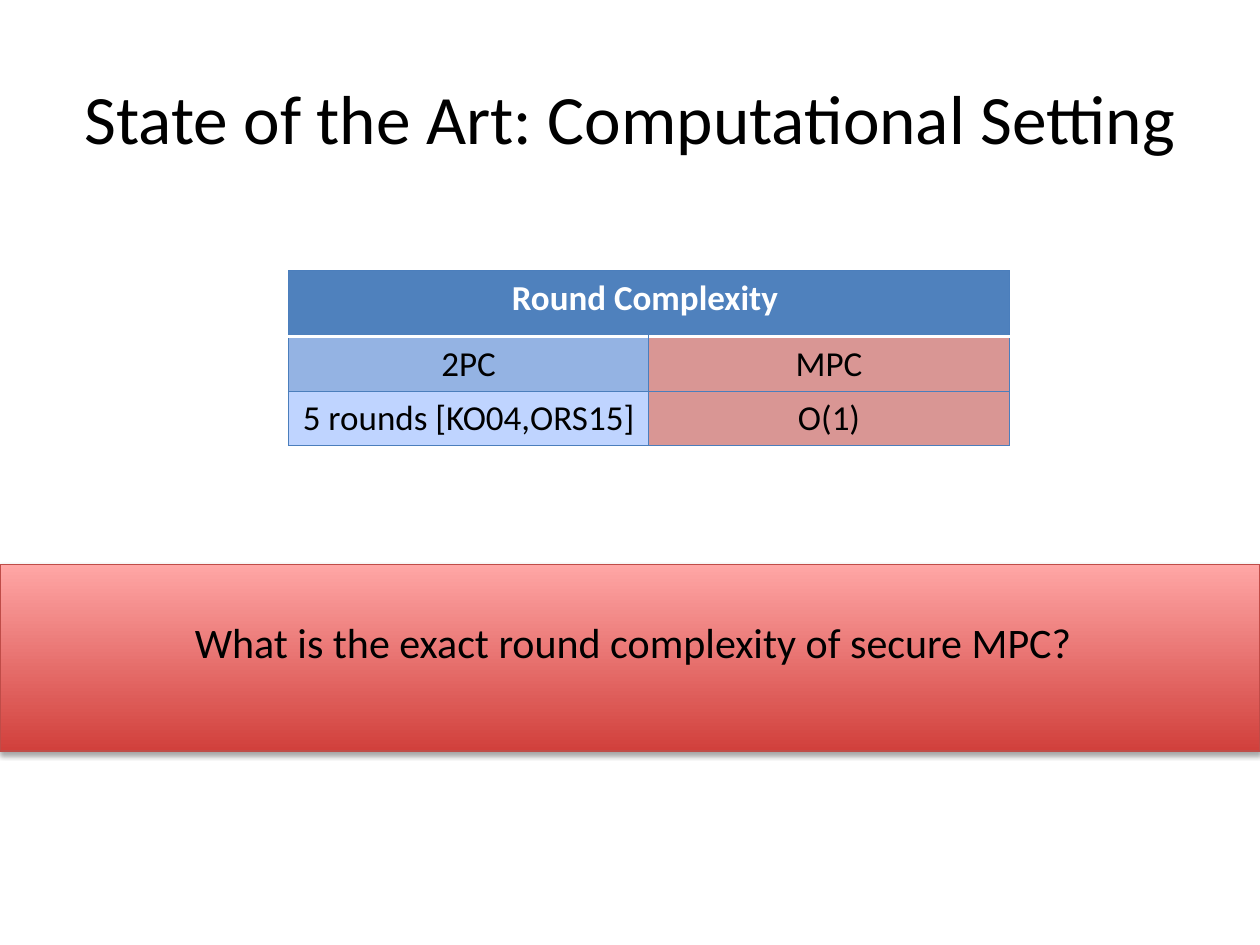
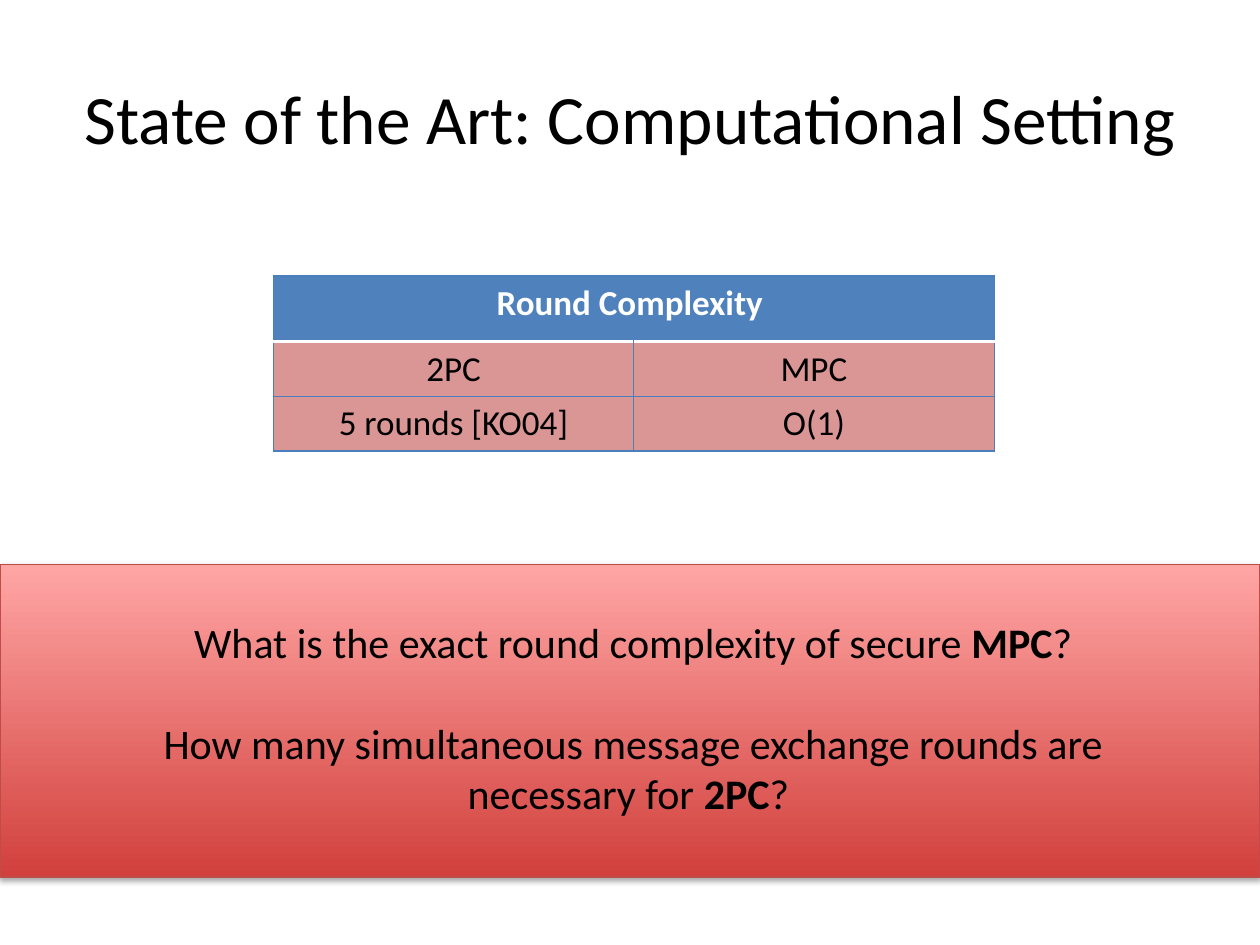
import pptx
import pptx.util
import pptx.dml.color
import pptx.enum.shapes
import pptx.enum.text
import pptx.oxml
import pptx.oxml.ns

HUES = {"ink": "000000", "white": "FFFFFF", "head": "4F81BD", "edge": "4B7EBC",
        "blue": "94B3E3", "pale": "BFD4FF", "rose": "D99694",
        "low": "D1403C", "high": "FFA6A5", "rim": "BF4C48"}
FACE = "Calibri"
WIDE, TALL = 10, 7.5
MID = pptx.enum.text.PP_ALIGN.CENTER
TITLE = "State of the Art: Computational Setting"
HEAD = "Round Complexity "
ROWS = (0.52, 0.435, 0.435)


def hue(name):
    """Return the named colour."""
    return pptx.dml.color.RGBColor.from_string(HUES[name])


def place(box):
    """Turn a box in inches into lengths."""
    return [pptx.util.Inches(n) for n in box]


def style(item, **form):
    """Set attributes from format values."""
    for key, val in form.items():
        setattr(item, key, val)


def write(para, text, size, tint="ink", bold=False):
    """Write centred text, in which stars switch bold on and off."""
    para.alignment = MID
    for i, part in enumerate(text.split("*")):
        run = para.add_run()
        run.text = part
        style(run.font, name=FACE, size=pptx.util.Pt(size), bold=bold or i % 2 == 1)
        run.font.color.rgb = hue(tint)


def node(text):
    """Parse one drawing element."""
    return pptx.oxml.parse_xml(text.replace(" ", f" {pptx.oxml.ns.nsdecls('a')} ", 1))


def title(slide):
    """Fill and place the title."""
    hold = slide.shapes.title
    left, top, width, height = place((0.05 * WIDE, 0.04 * TALL, 0.9 * WIDE, TALL / 6))
    style(hold, left=left, top=top, width=width, height=height)
    hold.text_frame.vertical_anchor = pptx.enum.text.MSO_ANCHOR.MIDDLE
    write(hold.text_frame.paragraphs[0], TITLE, 39.6)


def band(slide, box, asks):
    """Draw the shaded band and its questions."""
    left, top, width, height = box
    rect = slide.shapes.add_shape(pptx.enum.shapes.MSO_SHAPE.RECTANGLE, *place(box))
    rect.fill.gradient()
    rect.fill.gradient_angle = 90
    for stop, name, spot in zip(rect.fill.gradient_stops, ("low", "high"), (0, 1)):
        style(stop, position=spot)
        stop.color.rgb = hue(name)
    rect.line.color.rgb = hue("rim")
    rect.line.width = pptx.util.Pt(0.75)
    rect.shadow.inherit = False
    glow = node('<a:outerShdw blurRad="39370" dist="22860" dir="5400000" rotWithShape="0">'
                f'<a:srgbClr val="{HUES["ink"]}"><a:alpha val="35000"/></a:srgbClr></a:outerShdw>')
    rect._element.spPr.find(pptx.oxml.ns.qn("a:effectLst")).append(glow)
    note = slide.shapes.add_textbox(*place((left + 0.085 * width, top + 0.36,
                                            0.835 * width, height - 0.36)))
    frame = note.text_frame
    frame.word_wrap = True
    for i, ask in enumerate(asks):
        para = frame.add_paragraph() if i else frame.paragraphs[0]
        if i:
            para.space_before = pptx.util.Pt(29)
        write(para, ask, 24)


def edge(cell, top, low):
    """Draw the four borders of a cell from its top and low line formats."""
    plain = ("edge", 0.75)
    props = cell._tc.get_or_add_tcPr()
    for i, (side, (name, size)) in enumerate(zip("LRTB", (plain, plain, top, low))):
        props.insert(i, node(f'<a:ln{side} w="{int(size * 12700)}"><a:solidFill>'
                             f'<a:srgbClr val="{HUES[name]}"/></a:solidFill></a:ln{side}>'))


def grid(slide, box, body):
    """Build the table from rows of text and fill pairs."""
    table = slide.shapes.add_table(len(ROWS), 2, *place(box)).table
    for row, tall in zip(table.rows, ROWS):
        row.height = pptx.util.Inches(tall)
    thin, thick = ("edge", 0.75), ("white", 2)
    cells = [((HEAD, "head"), ("", "head")), *body]
    for r, line in enumerate(cells):
        for c, (text, tint) in enumerate(line):
            cell = table.cell(r, c)
            cell.fill.solid()
            cell.fill.fore_color.rgb = hue(tint)
            edge(cell, thick if r == 1 else thin, thin if r else thick)
            if text:
                write(cell.text_frame.paragraphs[0], text, 20,
                      "ink" if r else "white", not r)
    table.cell(0, 0).merge(table.cell(0, 1))


def page(deck, spot, body, deep, asks):
    """Add one slide with title, band and table."""
    slide = deck.slides.add_slide(deck.slide_layouts[5])
    title(slide)
    band(slide, (0, 4.48, WIDE, deep), asks)
    grid(slide, (*spot, 5.72, sum(ROWS)), body)


def main():
    """Build and save the deck."""
    deck = pptx.Presentation()
    style(deck, slide_width=pptx.util.Inches(WIDE), slide_height=pptx.util.Inches(TALL))
    page(deck, (2.29, 2.15),
         ((("2PC", "blue"), ("MPC", "rose")),
          (("5 rounds [KO04,ORS15]", "pale"), ("O(1)", "rose"))),
         1.48, ["What is the exact round complexity of secure MPC?"])
    page(deck, (2.17, 2.19),
         ((("2PC", "rose"), ("MPC", "rose")),
          (("5 rounds [KO04]", "rose"), ("O(1)", "rose"))),
         2.48, ["What is the exact round complexity of secure *MPC*?",
                "How many simultaneous message exchange rounds are necessary for *2PC*? "])
    deck.save("out.pptx")


if __name__ == "__main__":
    main()
